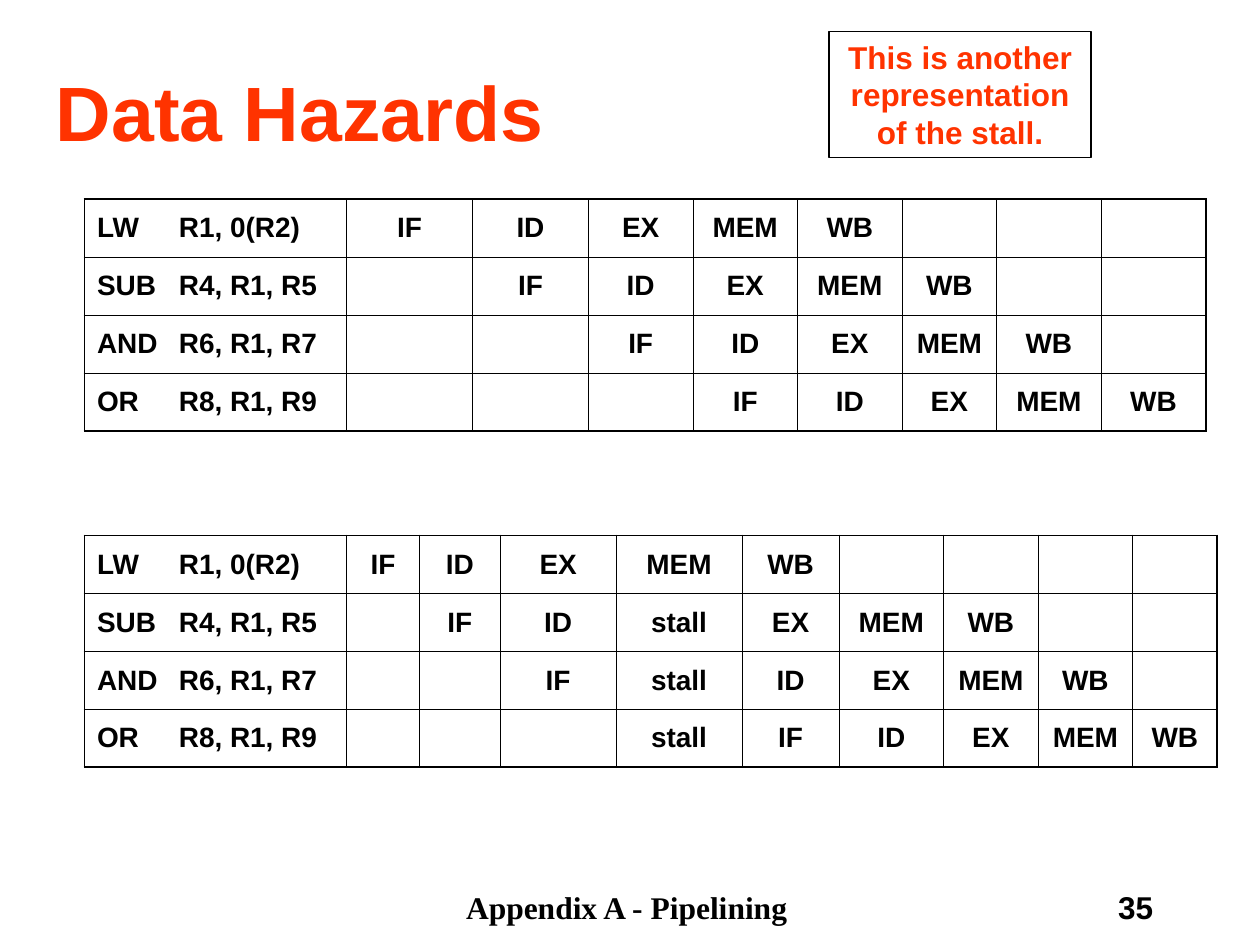
from dataclasses import dataclass

from lxml import etree
from pptx import Presentation
from pptx.dml.color import RGBColor
from pptx.enum.shapes import MSO_SHAPE
from pptx.enum.text import MSO_ANCHOR, PP_ALIGN
from pptx.oxml.ns import qn
from pptx.util import Inches, Pt

LEFT, CENTER, RIGHT = PP_ALIGN.LEFT, PP_ALIGN.CENTER, PP_ALIGN.RIGHT
TOP, MIDDLE = MSO_ANCHOR.TOP, MSO_ANCHOR.MIDDLE
RECTANGLE = MSO_SHAPE.RECTANGLE


@dataclass(frozen=True)
class Theme:
    accent: str = "FF3300"
    ink: str = "000000"
    sans: str = "Arial"
    serif: str = "Times New Roman"
    title_size: int = 44
    note_size: int = 18
    table_size: int = 16
    outer_line: float = 1.08
    inner_line: float = 0.45
    note_line: float = 0.75


THEME = Theme()
STAGES = ["IF", "ID", "EX", "MEM", "WB"]
INSTRUCTIONS = ["LW\tR1, 0(R2)", "SUB\tR4, R1, R5", "AND\tR6, R1, R7", "OR\tR8, R1, R9"]
STALL_CYCLE = 3
ROW_HEIGHT = 0.46
OPERAND_TAB = 0.65
PLAIN_COLUMNS = [2.08, 1, 0.92, 0.83, 0.83, 0.83, 0.75, 0.83, 0.83]
STALLED_COLUMNS = [2.08, 0.58, 0.64, 0.92, 1, 0.77, 0.83, 0.75, 0.75, 0.67]


def write(paragraph, text, size, color=THEME.ink, font=THEME.sans, align=CENTER):
    paragraph.alignment = align
    run = paragraph.add_run()
    run.text = text
    run.font.size = Pt(size)
    run.font.name = font
    run.font.bold = True
    run.font.color.rgb = RGBColor.from_string(color)


def add_label(slide, box, text, size, anchor=TOP, **style):
    shape = slide.shapes.add_textbox(*map(Inches, box))
    frame = shape.text_frame
    frame.word_wrap = True
    frame.vertical_anchor = anchor
    write(frame.paragraphs[0], text, size, **style)


def add_note(slide, box, text):
    shape = slide.shapes.add_shape(RECTANGLE, *map(Inches, box))
    shape.shadow.inherit = False
    shape.fill.background()
    shape.line.color.rgb = RGBColor.from_string(THEME.ink)
    shape.line.width = Pt(THEME.note_line)
    frame = shape.text_frame
    frame.word_wrap = True
    frame.vertical_anchor = TOP
    write(frame.paragraphs[0], text, THEME.note_size, THEME.accent)


def add_tab_stop(paragraph, position):
    tabs = etree.SubElement(paragraph._p.get_or_add_pPr(), qn("a:tabLst"))
    etree.SubElement(tabs, qn("a:tab"), pos=str(Inches(position)), algn="l")


def set_borders(cell, outer_sides):
    properties = cell._tc.get_or_add_tcPr()
    for index, side in enumerate("LRTB"):
        width = THEME.outer_line if side in outer_sides else THEME.inner_line
        line = etree.Element(qn(f"a:ln{side}"), w=str(Pt(width)))
        fill = etree.SubElement(line, qn("a:solidFill"))
        etree.SubElement(fill, qn("a:srgbClr"), val=THEME.ink)
        properties.insert(index, line)


def pipeline_rows(cycles, stalled):
    """Each instruction starts one cycle later; a stall delays all but the first."""
    rows = []
    for start, instruction in enumerate(INSTRUCTIONS):
        timeline = [""] * start + STAGES
        if stalled and start:
            timeline.insert(STALL_CYCLE, "stall")
        rows.append([instruction] + timeline + [""] * (cycles - len(timeline)))
    return rows


def add_pipeline_table(slide, left, top, widths, stalled):
    rows = pipeline_rows(len(widths) - 1, stalled)
    last_row, last_column = len(rows) - 1, len(widths) - 1
    frame = slide.shapes.add_table(
        len(rows), len(widths), Inches(left), Inches(top),
        Inches(sum(widths)), Inches(ROW_HEIGHT * len(rows)))
    table = frame.table
    table.first_row = table.horz_banding = False
    for column, width in zip(table.columns, widths):
        column.width = Inches(width)
    for row_index, values in enumerate(rows):
        table.rows[row_index].height = Inches(ROW_HEIGHT)
        for column_index, value in enumerate(values):
            cell = table.cell(row_index, column_index)
            cell.fill.background()
            cell.vertical_anchor = MIDDLE
            edges = {"L": column_index == 0, "R": column_index == last_column,
                     "T": row_index == 0, "B": row_index == last_row}
            set_borders(cell, [side for side, outer in edges.items() if outer])
            paragraph = cell.text_frame.paragraphs[0]
            if column_index == 0:
                add_tab_stop(paragraph, OPERAND_TAB)
            if value:
                align = CENTER if column_index else LEFT
                write(paragraph, value, THEME.table_size, align=align)


def add_footer(slide, left, top, height):
    add_label(slide, (left, top, 3.17, height), "Appendix A - Pipelining ",
              THEME.note_size, font=THEME.serif)
    add_label(slide, (left + 3.75, top, 2.08, height), "35",
              THEME.note_size, align=RIGHT)


def main():
    presentation = Presentation()
    presentation.slide_width = Inches(10)
    presentation.slide_height = Inches(7.5)
    slide = presentation.slides.add_slide(presentation.slide_layouts[6])

    # Heading and note
    add_label(slide, (0.17, 0.25, 4.42, 1.25), "Data Hazards", THEME.title_size,
              anchor=MIDDLE, color=THEME.accent)
    add_note(slide, (6.58, 0.25, 2.08, 1), "This is another representation of the stall.")

    # Pipeline timing without and with the stall
    add_pipeline_table(slide, 0.67, 1.58, PLAIN_COLUMNS, stalled=False)
    add_pipeline_table(slide, 0.67, 4.25, STALLED_COLUMNS, stalled=True)

    add_footer(slide, 3.42, 7, 0.5)
    presentation.save("out.pptx")


if __name__ == "__main__":
    main()
